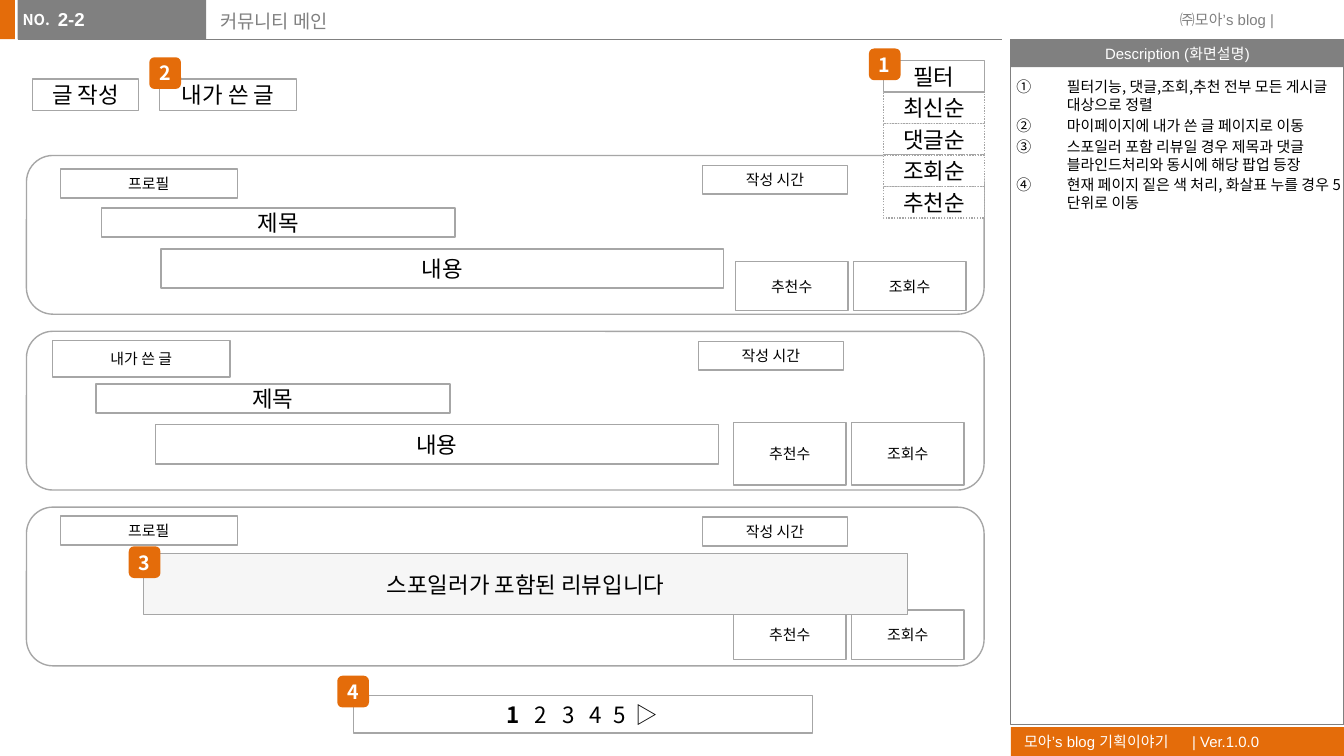
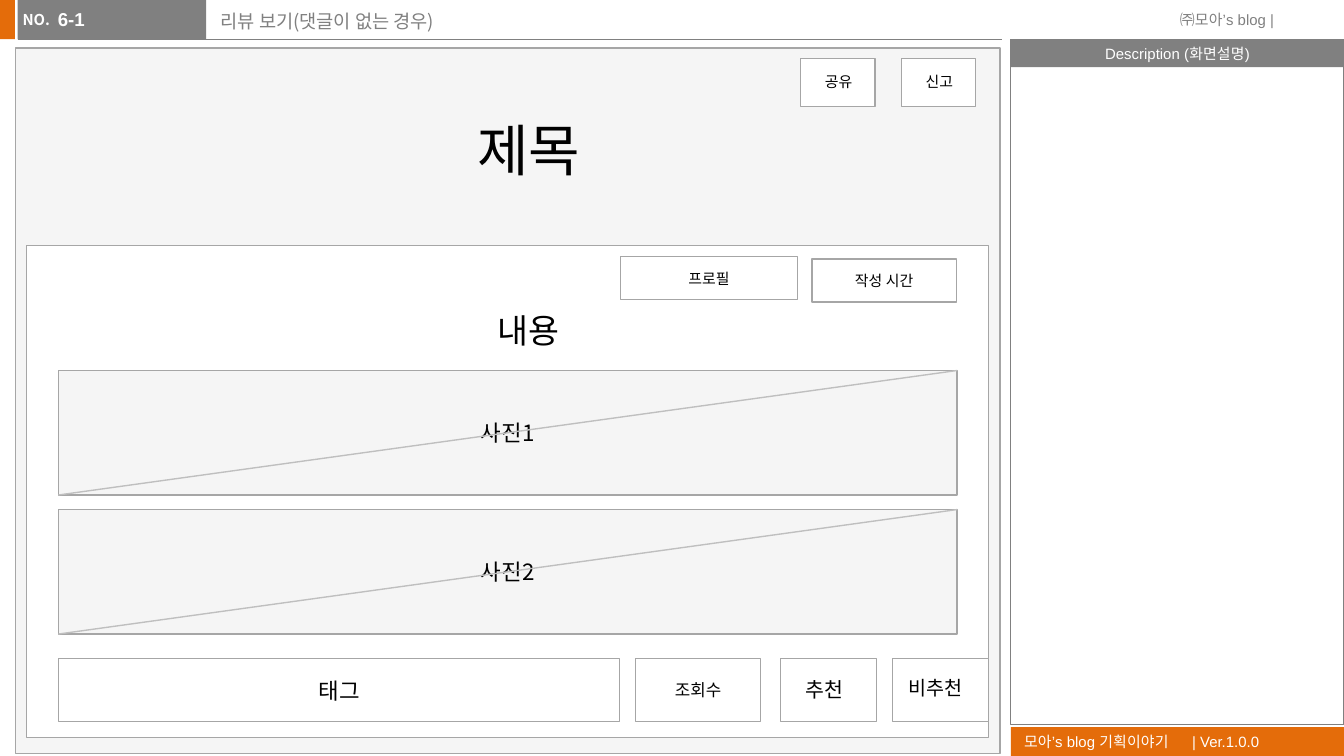
from lxml.etree import SubElement
from pptx import Presentation
from pptx.dml.color import RGBColor
from pptx.enum.dml import MSO_LINE as DASH
from pptx.enum.shapes import MSO_CONNECTOR as LINK, MSO_SHAPE as FORM
from pptx.enum.text import MSO_ANCHOR as ANCHOR, MSO_AUTO_SIZE as FIT, PP_ALIGN as ALIGN
from pptx.oxml.ns import qn
from pptx.util import Pt

ORANGE, GRAY, EDGE, DIAGONAL = "E46C0A", "808080", "A6A6A6", "BFBFBF"
WHITE, BLACK, PALE, SPOILER = "FFFFFF", "000000", "F2F2F2", "F6F6F6"
KOREAN, LATIN = "Noto Sans CJK KR", "Arial"
LEFT, CENTER = ALIGN.LEFT, ALIGN.CENTER


def tint(fill, colour, opacity=100):
    """Make a fill solid in a hex colour, or empty when there is none."""
    if colour is None:
        fill.background()
        return
    fill.solid()
    fill.fore_color.rgb = RGBColor.from_string(colour)
    if opacity < 100:
        rgb = fill._xPr.find(".//" + qn("a:srgbClr"))
        SubElement(rgb, qn("a:alpha"), val=str(opacity * 1000))


def dress(shape, text="", fill=None, opacity=100, line=None, weight=0.75, dash=None,
          size=8, font=KOREAN, colour=BLACK, bold=False, lead="", align=CENTER,
          anchor=ANCHOR.MIDDLE, insets=(7.2, 3.6, 7.2, 3.6), wrap=True, grow=False,
          before=None, hang=None, bullet=None, tabs=()):
    """Format a shape and write its text, one paragraph for each line."""
    if shape.has_text_frame:
        tint(shape.fill, fill, opacity)
    tint(shape.line.fill, line)
    if line:
        shape.line.width = Pt(weight)
        if dash:
            shape.line.dash_style = dash
    SubElement(shape.element.spPr, qn("a:effectLst"))
    if not text:
        return shape
    frame = shape.text_frame
    frame.word_wrap = wrap
    frame.auto_size = FIT.SHAPE_TO_FIT_TEXT if grow else FIT.NONE
    frame.vertical_anchor = anchor
    (frame.margin_left, frame.margin_top,
     frame.margin_right, frame.margin_bottom) = map(Pt, insets)
    for number, wording in enumerate(text.split("\n")):
        paragraph = frame.add_paragraph() if number else frame.paragraphs[0]
        paragraph.alignment = align
        if before:
            paragraph.space_before = Pt(before)
        properties = paragraph._p.get_or_add_pPr()
        if hang:
            properties.set("marL", str(Pt(hang)))
            properties.set("indent", str(Pt(-hang)))
            if bullet:
                SubElement(properties, qn("a:buAutoNum"), type=bullet)
            else:
                SubElement(properties, qn("a:buNone"))
        if tabs:
            stops = SubElement(properties, qn("a:tabLst"))
            for stop in tabs:
                SubElement(stops, qn("a:tab"), pos=str(Pt(stop)), algn="l")
        for words, heavy in ((lead, True), (wording, bold)):
            if words:
                run = paragraph.add_run()
                run.text = words
                run.font.size = Pt(size)
                run.font.bold = heavy
                tint(run.font.fill, colour)
                run.font.name = font
                SubElement(run._r.get_or_add_rPr(), qn("a:ea"), typeface=font)
    return shape


deck = Presentation()
deck.slide_width, deck.slide_height = Pt(720), Pt(405)

# Shared layout: title, screen number and description, then the fixed furniture
layout = deck.slide_layouts[3]
places = {0: (111, 1.5, 425.5, 23), 1: (31, 0.5, 79, 22.5), 2: (541.5, 38, 178.5, 351.5)}
for holder in list(layout.placeholders):
    place = places.get(holder.placeholder_format.idx)
    if place:
        holder.left, holder.top, holder.width, holder.height = map(Pt, place)
    else:
        holder.element.getparent().remove(holder.element)

screens = [
    ("커뮤니티 메인", "2-2",
     "필터기능, 댓글,조회,추천 전부 모든 게시글 대상으로 정렬\n"
     "마이페이지에 내가 쓴 글 페이지로 이동\n"
     "스포일러 포함 리뷰일 경우 제목과 댓글 블라인드처리와 동시에 해당 팝업 등장\n"
     "현재 페이지 짙은 색 처리, 화살표 누를 경우 5단위로 이동"),
    ("리뷰 보기(댓글이 없는 경우)", "6-1", ""),
]
for title, number, description in screens:
    slide = deck.slides.add_slide(layout)
    heading, code, notes = slide.placeholders
    dress(heading, title, size=10, colour=GRAY, align=LEFT, anchor=ANCHOR.TOP)
    dress(code, number, size=10, font=LATIN, colour=WHITE, bold=True, align=LEFT,
          anchor=ANCHOR.TOP, insets=(0, 3.6, 0, 3.6), hang=27)
    if description:
        dress(notes, description, align=LEFT, anchor=ANCHOR.TOP,
              insets=(3, 3.6, 0, 3.6), hang=27, bullet="circleNumDbPlain")
    else:
        notes.element.getparent().remove(notes.element)
community, review = deck.slides

shapes = community.shapes
rule = shapes.add_connector(LINK.STRAIGHT, Pt(9.5), Pt(21), Pt(537), Pt(21))
furniture = [dress(rule, line=GRAY, weight=0.5)]
bands = [
    ((-0.5, 0, 8.5, 21), dict(fill=ORANGE)),
    ((541.5, 389.5, 178.5, 15.5),
     dict(text="모아’s blog 기획이야기\t| Ver.1.0.0", fill=ORANGE, font=LATIN,
          colour=WHITE, align=LEFT, tabs=[90])),
    ((9.5, 0, 101, 21), dict(fill=GRAY)),
    ((541.5, 21, 178.5, 15),
     dict(text="Description (화면설명)", fill=GRAY, font=LATIN, colour=WHITE,
          insets=(6.5, 3, 6.5, 3), wrap=False, before=4)),
    ((541.5, 21, 178.5, 367), dict(line=GRAY)),
]
for place, style in bands:
    furniture.append(dress(shapes.add_shape(FORM.RECTANGLE, *map(Pt, place)), **style))
labels = [
    ((5, 2, 29.5, 17.5), dict(text="NO.", colour=WHITE, bold=True, wrap=False)),
    ((625, 2, 85, 17.5), dict(text="㈜모아’s blog |", colour=GRAY, font=LATIN)),
]
for place, style in labels:
    furniture.append(dress(shapes.add_textbox(*map(Pt, place)), align=LEFT,
                           anchor=ANCHOR.TOP, grow=True, **style))
for part in furniture:
    layout.shapes.element.append(part.element)

# Community screen: three post cards, each a group of labelled fields
cards = [
    [("프로필", 8, (32.3, 90.5, 95, 15.5)),
     ("작성 시간", 8, (376.5, 88.5, 77.5, 15.5)),
     ("제목", 12, (54.3, 111.5, 189.5, 15.5)),
     ("내용", 12, (86.3, 133.3, 301.5, 21)),
     ("추천수", 8, (394, 140, 60.3, 26.5)),
     ("조회수", 8, (457.2, 140, 60.3, 26.5))],
    [("작성 시간", 8, (374.3, 182.8, 77.5, 15.5)),
     ("제목", 12, (51.5, 205.8, 189.5, 15.5)),
     ("내용", 12, (83.3, 227.5, 301.5, 21)),
     ("내가 쓴 글", 8, (28.3, 182.5, 95, 19.5)),
     ("추천수", 8, (393, 226.3, 60.3, 33.5)),
     ("조회수", 8, (456.2, 226.3, 60.3, 33.5))],
    [("작성 시간", 8, (376.5, 277, 77.5, 15.5)),
     ("추천수", 8, (393, 326.8, 60.3, 26.5)),
     ("조회수", 8, (456.2, 326.8, 60.3, 26.5)),
     ("프로필", 8, (32.3, 276.5, 95, 15.5)),
     ("스포일러가 포함된 리뷰입니다", 12, (77, 296.7, 409.3, 32.7))],
]
for row, fields in enumerate(cards):
    card = shapes.add_group_shape().shapes
    outline = card.add_shape(FORM.ROUNDED_RECTANGLE, Pt(14.2), Pt(83.3 + 94.2 * row),
                             Pt(513), Pt(85))
    dress(outline, fill=WHITE, line=EDGE)
    for text, size, place in fields:
        if text == "내가 쓴 글":
            strike = card.add_connector(LINK.STRAIGHT, Pt(122.5), Pt(183), Pt(28.5), Pt(202))
            dress(strike, line=EDGE)
        dress(card.add_shape(FORM.RECTANGLE, *map(Pt, place)), text, size=size, line=EDGE,
              fill=SPOILER if text.startswith("스포일러") else WHITE)

# Buttons, pager and filter menu
controls = [
    ((17.3, 42.3, 57, 17), dict(text="글 작성")),
    ((85.5, 42.3, 73.5, 17), dict(text="내가 쓴 글")),
    ((189.4, 372.5, 246, 20.3),
     dict(text="\t2\t3\t4\t5\t▷", lead="1", align=LEFT, insets=(82, 3.6, 0, 3.6),
          tabs=[15, 30, 44.5, 57, 69])),
]
for step, order in enumerate(["최신순", "댓글순", "조회순", "추천순"], 1):
    controls.append(((473.3, 32.4 + 16.9 * step, 54, 16.9),
                     dict(text=order, dash=DASH.ROUND_DOT)))
controls.append(((473.3, 32.4, 54, 16.9), dict(text="필터", opacity=70)))
for place, style in controls:
    dress(shapes.add_shape(FORM.RECTANGLE, *map(Pt, place)), fill=WHITE, line=EDGE,
          size=12, **style)

# Numbered badges that refer to the description
badges = [(465.5, 26), (80, 30.7), (69, 292.7), (180.7, 362)]
for number, (left, top) in enumerate(badges, 1):
    badge = shapes.add_shape(FORM.ROUNDED_RECTANGLE, Pt(left), Pt(top), Pt(17), Pt(17))
    dress(badge, str(number), fill=ORANGE, size=10.5, colour=WHITE, bold=True,
          insets=(0, 3.6, 0, 3.6))

# Review screen: page, top buttons and article
shapes = review.shapes
page = shapes.add_shape(FORM.RECTANGLE, Pt(8.3), Pt(25.7), Pt(527.5), Pt(378))
dress(page, fill=PALE, opacity=70, line=EDGE)
for column, action in enumerate(["공유", "신고"]):
    button = shapes.add_group_shape().shapes
    shift = 54 * column
    dress(button.add_shape(FORM.RECTANGLE, Pt(429 + shift), Pt(31.5), Pt(39.8), Pt(25.5)),
          fill=WHITE, line=EDGE)
    dress(button.add_textbox(Pt(411 + shift), Pt(35.3), Pt(76.5), Pt(17.3)), action,
          anchor=ANCHOR.TOP, grow=True)

article = shapes.add_group_shape().shapes
fields = [
    ("", 8, (14.2, 131.5, 515.5, 263.5)),
    ("작성 시간", 8, (435, 138.8, 77.3, 23)),
    ("태그", 12, (31.3, 352.7, 300.7, 34)),
    ("프로필", 8, (332.5, 137.5, 94.7, 23)),
    ("조회수", 9, (340.5, 352.7, 67, 34)),
    ("", 8, (418, 352.7, 51.7, 34)),
    ("", 8, (478, 352.7, 51.7, 34)),
]
for text, size, place in fields:
    dress(article.add_shape(FORM.RECTANGLE, *map(Pt, place)), text, size=size,
          fill=WHITE, line=EDGE)
captions = [
    (article, "추천", 11, LEFT, (424.5, 359.3, 105, 31)),
    (article, "비추천", 10.5, LEFT, (479.5, 358.5, 106, 31)),
    (shapes, "내용", 18, CENTER, (198, 162.7, 170, 29)),
    (shapes, "제목", 30, CENTER, (182, 58.3, 202.5, 44)),
]
for owner, text, size, align, place in captions:
    dress(owner.add_textbox(*map(Pt, place)), text, size=size, align=align,
          anchor=ANCHOR.TOP, grow=True)

# Photo areas crossed by a diagonal
for row, caption in enumerate(["사진1", "사진2"]):
    photo = shapes.add_group_shape().shapes
    top = 198.5 + 74.5 * row
    dress(photo.add_shape(FORM.RECTANGLE, Pt(31.3), Pt(top), Pt(481.5), Pt(66.7)), caption,
          fill=PALE, opacity=70, line=EDGE, size=12)
    diagonal = photo.add_connector(LINK.STRAIGHT, Pt(512.8), Pt(top), Pt(31.3), Pt(top + 66.7))
    dress(diagonal, line=DIAGONAL)

deck.save("out.pptx")
